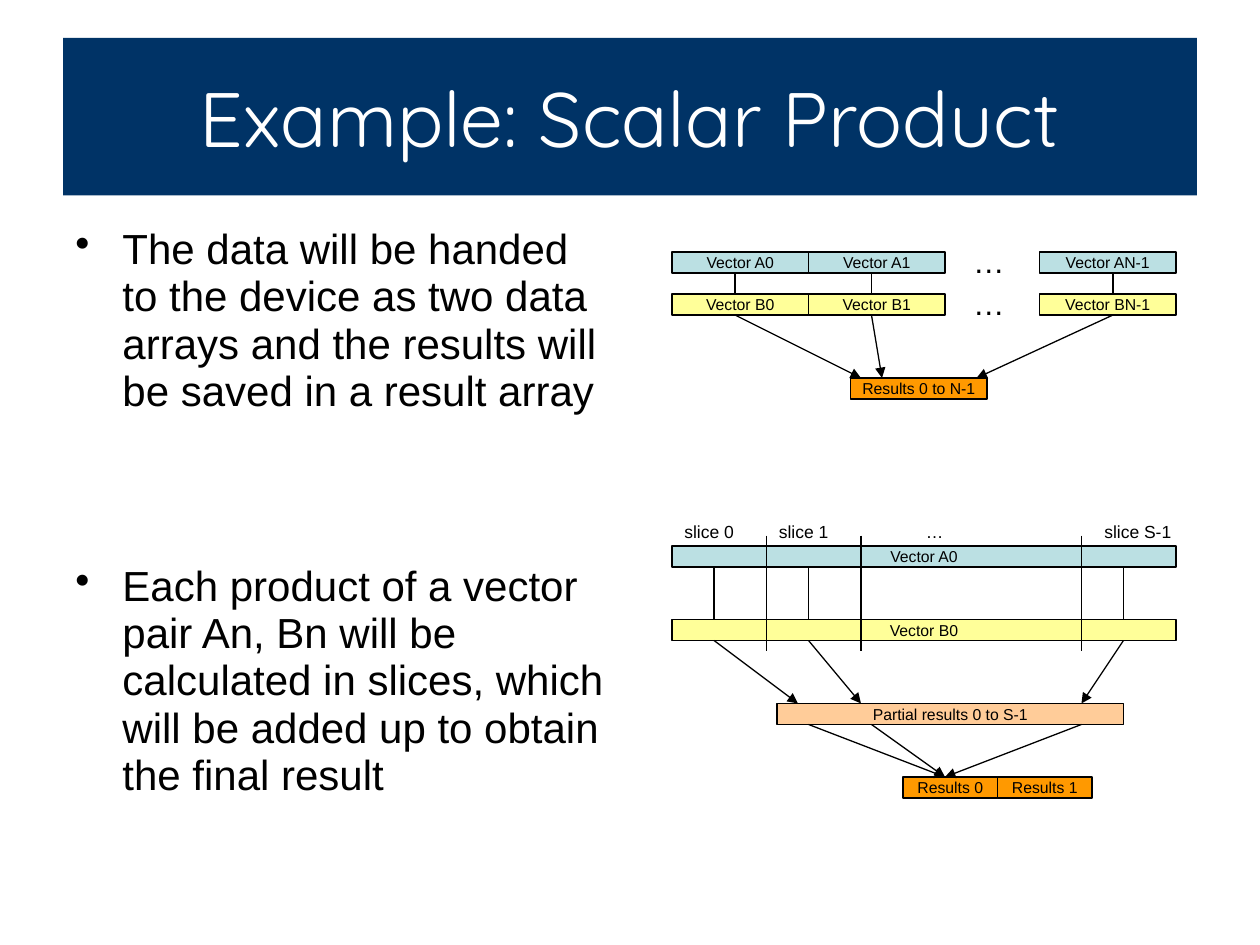
from typing import NamedTuple

from lxml.etree import SubElement
from pptx import Presentation
from pptx.dml.color import RGBColor
from pptx.enum.shapes import MSO_CONNECTOR as CONN, MSO_SHAPE as SHAPE
from pptx.enum.text import MSO_ANCHOR as ANCHOR, MSO_AUTO_SIZE as AUTO, PP_ALIGN as ALIGN
from pptx.oxml.ns import qn
from pptx.util import Cm, Pt

COLORS = {
    "navy": "003366", "white": "FFFFFF", "black": "000000", "blue": "BBE0E3",
    "yellow": "FFFF99", "orange": "FF9900", "peach": "FFCC99",
}
BAR_H = 2  # bar height in grid units


class Bar(NamedTuple):
    text: str
    x: float
    y: float
    w: float
    color: str


class Label(NamedTuple):
    text: str
    x: float
    y: float
    w: float
    h: float
    size: float


class Link(NamedTuple):
    x1: float
    y1: float
    x2: float
    y2: float
    arrow: bool = False


def u(n: float) -> Cm:
    """Length of n grid units, twelve to the inch."""
    return Cm(n * 2.54 / 12)


def rgb(name: str) -> RGBColor:
    return RGBColor.from_string(COLORS[name])


def write(p, text: str, *, size: float, font: str = "Arial",
          color: str = "black", align=ALIGN.LEFT) -> None:
    p.alignment = align
    r = p.add_run()
    r.text = text
    r.font.size, r.font.name = Pt(size), font
    r.font.color.rgb = rgb(color)


def add_bar(shapes, bar: Bar) -> None:
    sp = shapes.add_shape(SHAPE.RECTANGLE, u(bar.x), u(bar.y), u(bar.w), u(BAR_H))
    sp.shadow.inherit = False
    sp.fill.solid()
    sp.fill.fore_color.rgb = rgb(bar.color)
    sp.line.color.rgb = rgb("black")
    sp.line.width = Pt(0.75)
    tf = sp.text_frame
    tf.word_wrap = False
    tf.vertical_anchor = ANCHOR.MIDDLE
    write(tf.paragraphs[0], bar.text, size=9, align=ALIGN.CENTER)


def add_label(shapes, label: Label) -> None:
    sp = shapes.add_textbox(u(label.x), u(label.y), u(label.w), u(label.h))
    tf = sp.text_frame
    tf.word_wrap = True
    tf.auto_size = AUTO.SHAPE_TO_FIT_TEXT
    write(tf.paragraphs[0], label.text, size=label.size)


def add_link(shapes, link: Link) -> None:
    cx = shapes.add_connector(CONN.STRAIGHT, u(link.x1), u(link.y1), u(link.x2), u(link.y2))
    cx.line.color.rgb = rgb("black")
    cx.line.width = Pt(0.75)
    if link.arrow:
        SubElement(cx.line._get_or_add_ln(), qn("a:tailEnd"), type="triangle")
    SubElement(cx._element.spPr, qn("a:effectLst"))


def add_bullet(p, text: str, space_before: float) -> None:
    pPr = p._p.get_or_add_pPr()
    pPr.set("marL", str(Cm(0.95)))
    pPr.set("indent", str(-Cm(0.95)))
    SubElement(pPr, qn("a:buChar"), char="•")
    p.line_spacing = 0.94
    p.space_before = Pt(space_before)
    write(p, text, size=24)


def add_title(s) -> None:
    title = s.shapes.title
    title.left, title.top, title.width, title.height = u(6), u(3.6), u(108), u(15)
    title.fill.solid()
    title.fill.fore_color.rgb = rgb("navy")
    tf = title.text_frame
    tf.vertical_anchor = ANCHOR.MIDDLE
    write(tf.paragraphs[0], "Example: Scalar Product", size=44,
          font="Quicksand", color="white", align=ALIGN.CENTER)


def add_body(s) -> None:
    tf = s.shapes.add_textbox(u(6), u(21), u(53), u(59.4)).text_frame
    tf.word_wrap = True
    add_bullet(tf.paragraphs[0], "The data will be handed to the device as two data arrays "
               "and the results will be saved in a result array", 0)
    add_bullet(tf.add_paragraph(), "Each product of a vector pair An, Bn will be calculated "
               "in slices, which will be added up to obtain the final result", 84)


def add_vector_diagram(s) -> None:
    # Two rows of vectors and their result
    for name, y, color in (("A", 24, "blue"), ("B", 28, "yellow")):
        for index, x in (("0", 64), ("1", 77), ("N-1", 99)):
            add_bar(s.shapes, Bar(f"Vector {name}{index}", x, y, 13, color))
        add_label(s.shapes, Label("…", 91.5, y - 1.5, 7, 4.8, 18))
    add_bar(s.shapes, Bar("Results 0 to N-1", 81, 36, 13, "orange"))

    # Pair links and arrows to the result
    for x, target in ((70, 82), (83, 84), (106, 93)):
        add_link(s.shapes, Link(x, 26, x, 28))
        add_link(s.shapes, Link(x, 30, target, 36, arrow=True))


def add_slice_diagram(s) -> None:
    for bar in (
        Bar("Vector A0", 64, 52, 48, "blue"),
        Bar("Vector B0", 64, 59, 48, "yellow"),
        Bar("Partial results 0 to S-1", 74, 67, 33, "peach"),
        Bar("Results 0", 86, 74, 9, "orange"),
        Bar("Results 1", 95, 74, 9, "orange"),
    ):
        add_bar(s.shapes, bar)

    # Slice borders and captions
    for x in (73, 82, 103):
        add_link(s.shapes, Link(x, 51, x, 62))
    for text, x in (("slice 0", 64), ("slice 1", 73), ("…", 87), ("slice S-1", 104)):
        add_label(s.shapes, Label(text, x, 49, 9, 3.2, 10))

    # From each slice to its partial result, then to the first result
    for x, partial, start in ((68, 76, 77), (77, 82, 83), (107, 103, 103)):
        add_link(s.shapes, Link(x, 54, x, 59))
        add_link(s.shapes, Link(x, 61, partial, 67, arrow=True))
        add_link(s.shapes, Link(start, 69, 90, 74, arrow=True))


def main() -> None:
    prs = Presentation()
    prs.slide_width, prs.slide_height = Cm(25.4), Cm(19.05)
    s = prs.slides.add_slide(prs.slide_layouts[5])
    add_title(s)
    add_body(s)
    add_vector_diagram(s)
    add_slice_diagram(s)
    prs.save("out.pptx")


if __name__ == "__main__":
    main()
